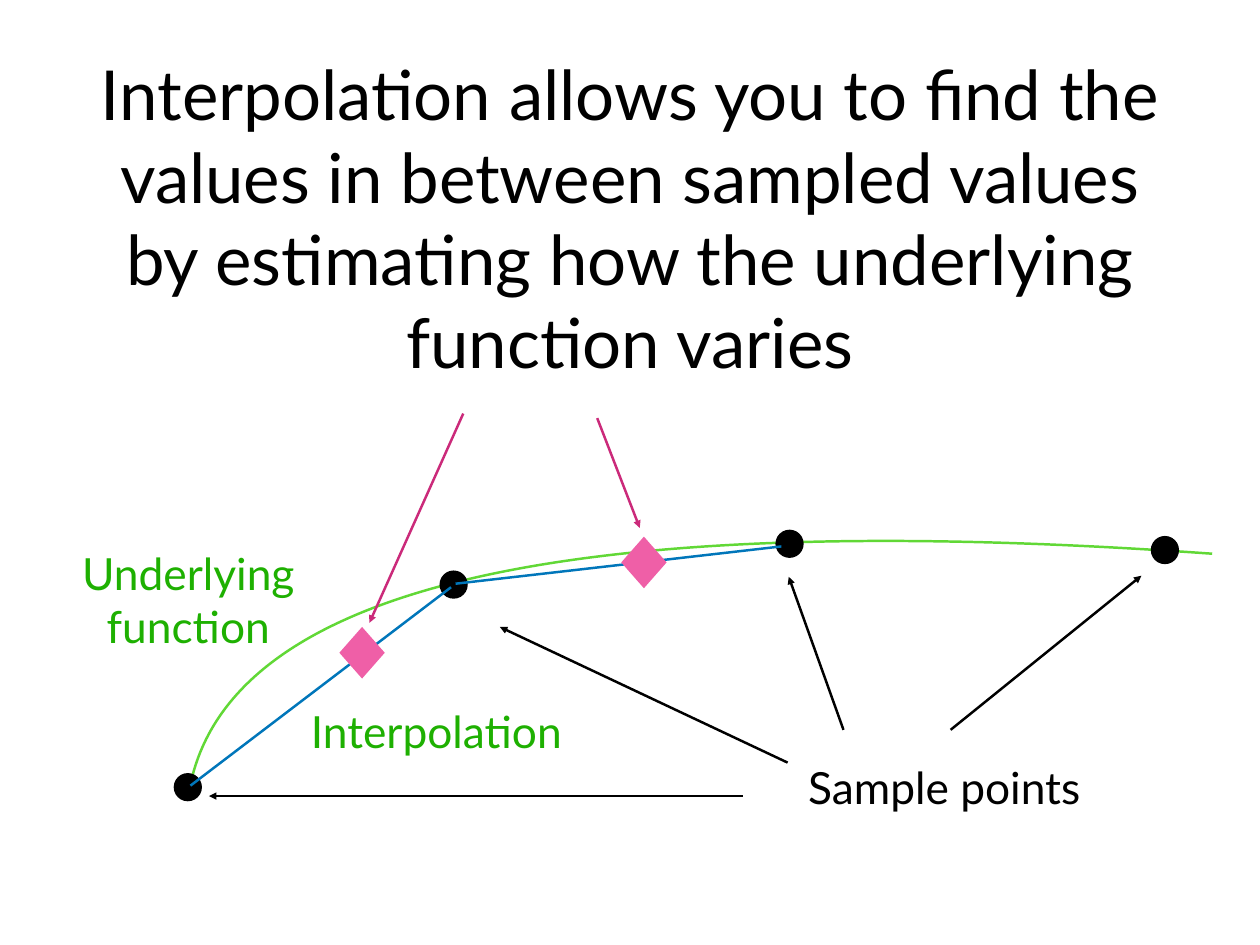
"""Build a slide showing linear interpolation between sample points of a curve."""
from lxml import etree
from pptx import Presentation
from pptx.dml.color import RGBColor
from pptx.enum.shapes import MSO_CONNECTOR, MSO_SHAPE
from pptx.enum.text import MSO_ANCHOR, PP_ALIGN
from pptx.oxml.ns import qn
from pptx.util import Cm, Pt

STRAIGHT = MSO_CONNECTOR.STRAIGHT
OVAL, DIAMOND = MSO_SHAPE.OVAL, MSO_SHAPE.DIAMOND
MIDDLE, CENTER = MSO_ANCHOR.MIDDLE, PP_ALIGN.CENTER
COLORS = {"black": "000000", "curve": "61D836", "label": "1EB001",
          "segment": "0076BA", "pointer": "CB2A7A", "estimate": "EF5FA7"}


def add_label(text, left, top, width, height, size, color, wrap=True):
    frame = slide.shapes.add_textbox(Cm(left), Cm(top), Cm(width), Cm(height)).text_frame
    frame.word_wrap = wrap
    frame.vertical_anchor = MIDDLE
    frame.margin_left = frame.margin_right = Cm(0.15)
    frame.margin_top = frame.margin_bottom = Cm(0.15)
    frame.text = text
    sentence = frame.paragraphs[0]
    sentence.alignment = CENTER
    font = sentence.runs[0].font
    font.name, font.size = "Lato", Pt(size)
    font.color.rgb = RGBColor.from_string(COLORS[color])


def add_line(x1, y1, x2, y2, color, arrow):
    line = slide.shapes.add_connector(STRAIGHT, Cm(x1), Cm(y1), Cm(x2), Cm(y2))
    line.line.color.rgb = RGBColor.from_string(COLORS[color])
    line.line.width = Pt(2)
    if arrow:
        etree.SubElement(line.line._get_or_add_ln(), qn("a:tailEnd"), type="triangle")
    etree.SubElement(line._element.spPr, qn("a:effectLst"))


prs = Presentation()
prs.slide_width, prs.slide_height = Cm(36.12), Cm(27.1)
slide = prs.slides.add_slide(prs.slide_layouts[6])

add_label("Interpolation allows you to find the values in between sampled values "
          "by estimating how the underlying function varies",
          2.64, 0.71, 30.84, 11.02, 56, "black")

curve_start, curve_peak, curve_end = (5.41, 22.76), (25.5, 15.49), (34.75, 15.88)
curve_controls = [(6.38, 16.84), (16.13, 14.55)]
outline = slide.shapes.build_freeform(Cm(curve_start[0]), Cm(curve_start[1]))
outline.add_line_segments([(Cm(x), Cm(y)) for x, y in (curve_peak, curve_end)], close=False)
curve = outline.convert_to_shape()
curve.shadow.inherit = False
curve.fill.background()
curve.line.color.rgb = RGBColor.from_string(COLORS["curve"])
curve.line.width = Pt(2)
curve_geometry = next(curve._element.iter(qn("a:path")))
for straight in curve_geometry.findall(qn("a:lnTo")):
    curve_geometry.remove(straight)
bezier = etree.SubElement(curve_geometry, qn("a:cubicBezTo"))
for x, y in curve_controls + [curve_end]:
    etree.SubElement(bezier, qn("a:pt"), x=str(Cm(x) - curve.left), y=str(Cm(y) - curve.top))

sample_points = [(4.98, 22.17), (12.6, 16.36), (22.23, 15.19), (32.99, 15.37)]
estimates = [(9.73, 17.98), (17.81, 15.39)]
sample_arrows = [(21.29, 22.83, 5.99, 22.83), (24.18, 20.93, 22.61, 16.54),
                 (22.58, 21.87, 14.33, 17.98), (27.25, 20.93, 32.72, 16.51)]
segments = [(5.46, 22.53, 12.93, 16.84), (13.06, 16.74, 22.4, 15.67)]
estimate_arrows = [(13.28, 11.86, 10.59, 17.86), (17.12, 11.99, 18.34, 15.14)]

for ends in sample_arrows:
    add_line(*ends, "black", True)

for kind, corners, width, height, color in [
        (OVAL, sample_points, 0.81, 0.81, "black"),
        (DIAMOND, estimates, 1.3, 1.48, "estimate")]:
    if kind == DIAMOND:
        for ends in segments:
            add_line(*ends, "segment", False)
    for left, top in corners:
        marker = slide.shapes.add_shape(kind, Cm(left), Cm(top), Cm(width), Cm(height))
        marker.shadow.inherit = False
        marker.fill.solid()
        marker.fill.fore_color.rgb = RGBColor.from_string(COLORS[color])
        marker.line.fill.background()

for ends in estimate_arrows:
    add_line(*ends, "pointer", True)

add_label("Sample points", 22.83, 21.56, 8.48, 2.01, 36, "black", wrap=False)
add_label("Underlying function", 0.51, 15.32, 9.78, 3.73, 36, "label")
add_label("Interpolation", 7.62, 19.96, 9.78, 2.01, 36, "label")

prs.save("out.pptx")
